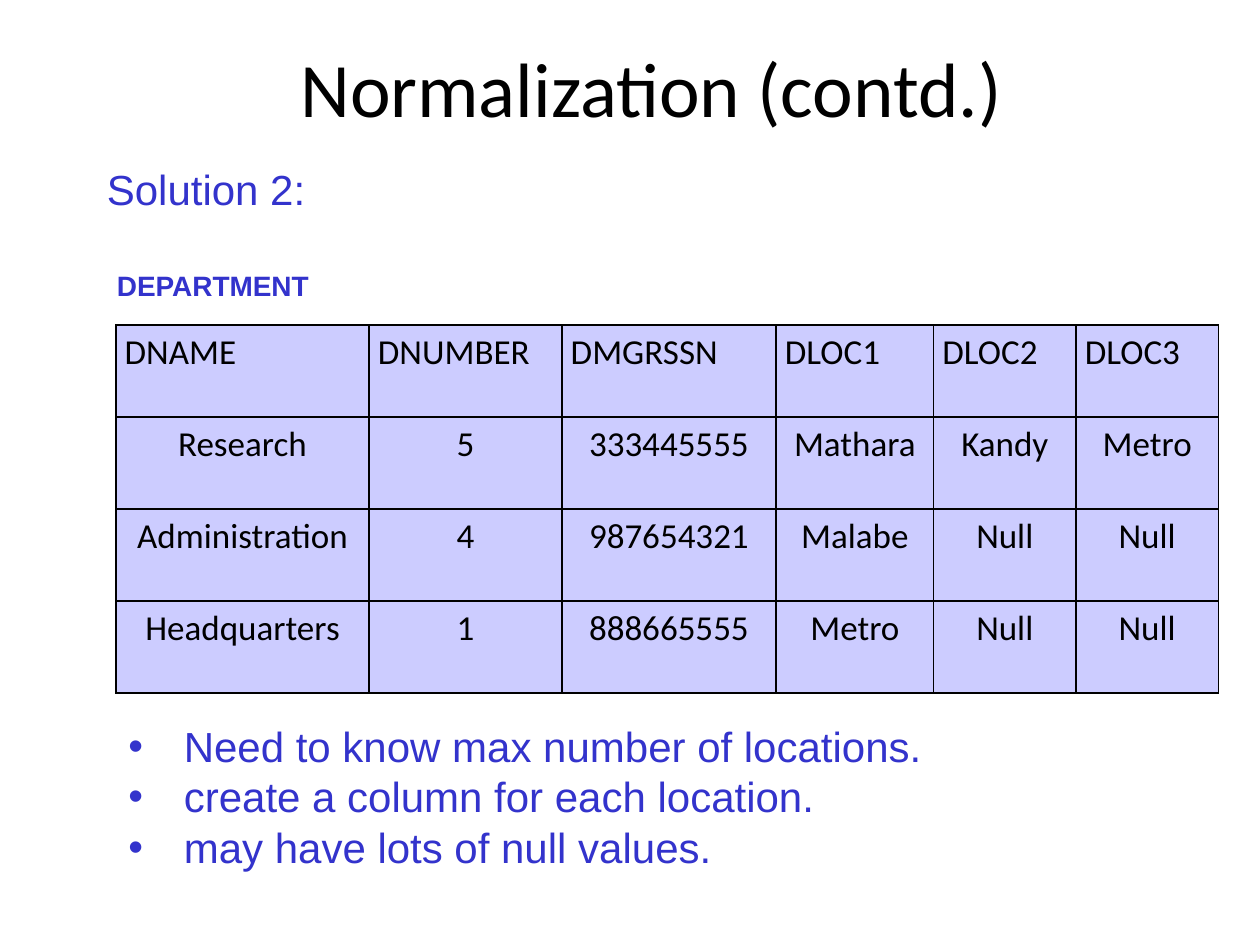
from dataclasses import dataclass

from lxml.etree import SubElement
from pptx import Presentation
from pptx.dml.color import RGBColor
from pptx.enum.text import MSO_ANCHOR, PP_ALIGN
from pptx.oxml.ns import qn
from pptx.util import Inches, Pt


@dataclass(frozen=True)
class Theme:
    black: str = "000000"
    accent: str = "3333CC"
    cell: str = "CCCCFF"
    heading_font: str = "Calibri"
    body_font: str = "Arial"
    title_size: int = 44
    body_size: int = 24
    table_size: int = 20
    caption_size: int = 16


THEME = Theme()

TITLE = "Normalization (contd.)"
SUBTITLE = "Solution 2:"
TABLE_NAME = "DEPARTMENT"
DEPARTMENTS = [
    ("DNAME", "DNUMBER", "DMGRSSN", "DLOC1", "DLOC2", "DLOC3"),
    ("Research", "5", "333445555", "Mathara", "Kandy", "Metro"),
    ("Administration", "4", "987654321", "Malabe", "Null", "Null"),
    ("Headquarters", "1", "888665555", "Metro", "Null", "Null"),
]
COLUMN_WIDTHS = (2.01, 1.53, 1.7, 1.25, 1.13, 1.13)
ROW_HEIGHT = 0.73
DRAWBACKS = [
    "Need to know max number of locations.",
    "create a column for each location.",
    "may have lots of null values.",
]


def style_font(paragraph, name, size, color, bold=False):
    font = paragraph.font
    font.name, font.size, font.bold = name, Pt(size), bold
    font.color.rgb = RGBColor.from_string(color)


def add_bullet(paragraph, indent=0.44):
    properties = paragraph._p.get_or_add_pPr()
    properties.set("marL", str(Inches(indent)))
    properties.set("indent", str(-Inches(indent)))
    SubElement(properties, qn("a:buFont"), typeface=THEME.body_font)
    SubElement(properties, qn("a:buChar"), char="•")


def add_text(slide, box, lines, size, font=THEME.body_font, color=THEME.accent,
             bold=False, bulleted=False, alignment=PP_ALIGN.LEFT, anchor=MSO_ANCHOR.TOP):
    frame = slide.shapes.add_textbox(*map(Inches, box)).text_frame
    frame.word_wrap = True
    frame.vertical_anchor = anchor
    frame.text = "\n".join(lines)
    for paragraph in frame.paragraphs:
        if bulleted:
            add_bullet(paragraph)
        paragraph.alignment = alignment
        style_font(paragraph, font, size, color, bold)


def set_borders(cell):
    properties = cell._tc.get_or_add_tcPr()
    for position, side in enumerate(("a:lnL", "a:lnR", "a:lnT", "a:lnB")):
        line = properties.makeelement(qn(side), {"w": str(Pt(1))})
        color = SubElement(SubElement(line, qn("a:solidFill")), qn("a:srgbClr"))
        color.set("val", THEME.black)
        properties.insert(position, line)


def fill_cell(cell, text, alignment):
    cell.margin_left = cell.margin_right = Inches(0.07)
    cell.margin_top = cell.margin_bottom = 0
    cell.fill.solid()
    cell.fill.fore_color.rgb = RGBColor.from_string(THEME.cell)
    set_borders(cell)
    cell.text = text
    paragraph = cell.text_frame.paragraphs[0]
    paragraph.alignment = alignment
    paragraph.line_spacing = 1.15
    style_font(paragraph, THEME.heading_font, THEME.table_size, THEME.black)


def add_department_table(slide, left, top):
    table = slide.shapes.add_table(
        len(DEPARTMENTS), len(COLUMN_WIDTHS), Inches(left), Inches(top),
        Inches(sum(COLUMN_WIDTHS)), Inches(ROW_HEIGHT * len(DEPARTMENTS))).table
    table.first_row = table.horz_banding = False
    for column, width in zip(table.columns, COLUMN_WIDTHS):
        column.width = Inches(width)
    for row_index, values in enumerate(DEPARTMENTS):
        table.rows[row_index].height = Inches(ROW_HEIGHT)
        alignment = PP_ALIGN.CENTER if row_index else PP_ALIGN.LEFT
        for column_index, value in enumerate(values):
            fill_cell(table.cell(row_index, column_index), value, alignment)


def main():
    presentation = Presentation()
    presentation.slide_width, presentation.slide_height = Inches(10), Inches(7.5)
    slide = presentation.slides.add_slide(presentation.slide_layouts[6])
    add_department_table(slide, 0.92, 2.58)
    add_text(slide, (0.75, 1.25, 3.67, 0.5), [SUBTITLE], THEME.body_size)
    add_text(slide, (0.92, 0.08, 8.5, 1.21), [TITLE], THEME.title_size,
             font=THEME.heading_font, color=THEME.black,
             alignment=PP_ALIGN.CENTER, anchor=MSO_ANCHOR.MIDDLE)
    add_text(slide, (0.83, 2.08, 2.33, 0.37), [TABLE_NAME], THEME.caption_size, bold=True)
    add_text(slide, (0.92, 5.67, 8.42, 1.3), DRAWBACKS, THEME.body_size, bulleted=True)
    presentation.save("out.pptx")


if __name__ == "__main__":
    main()
